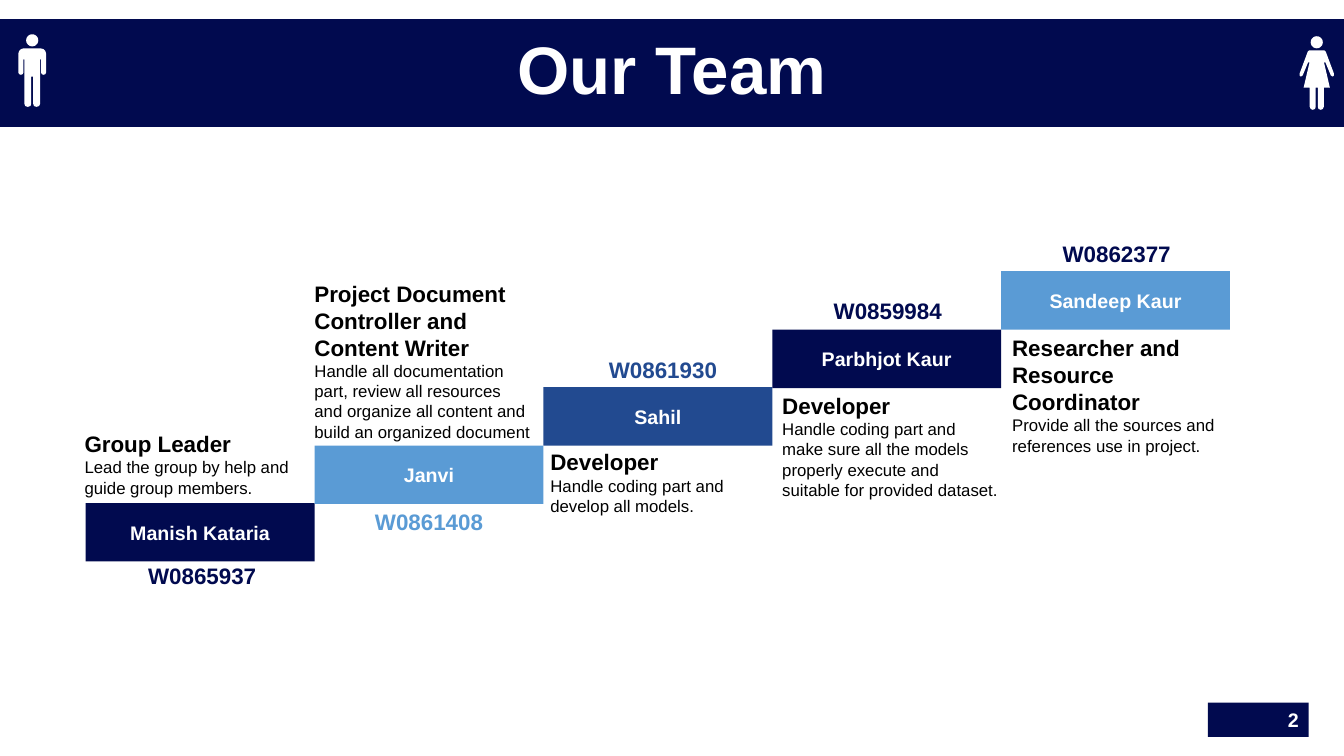
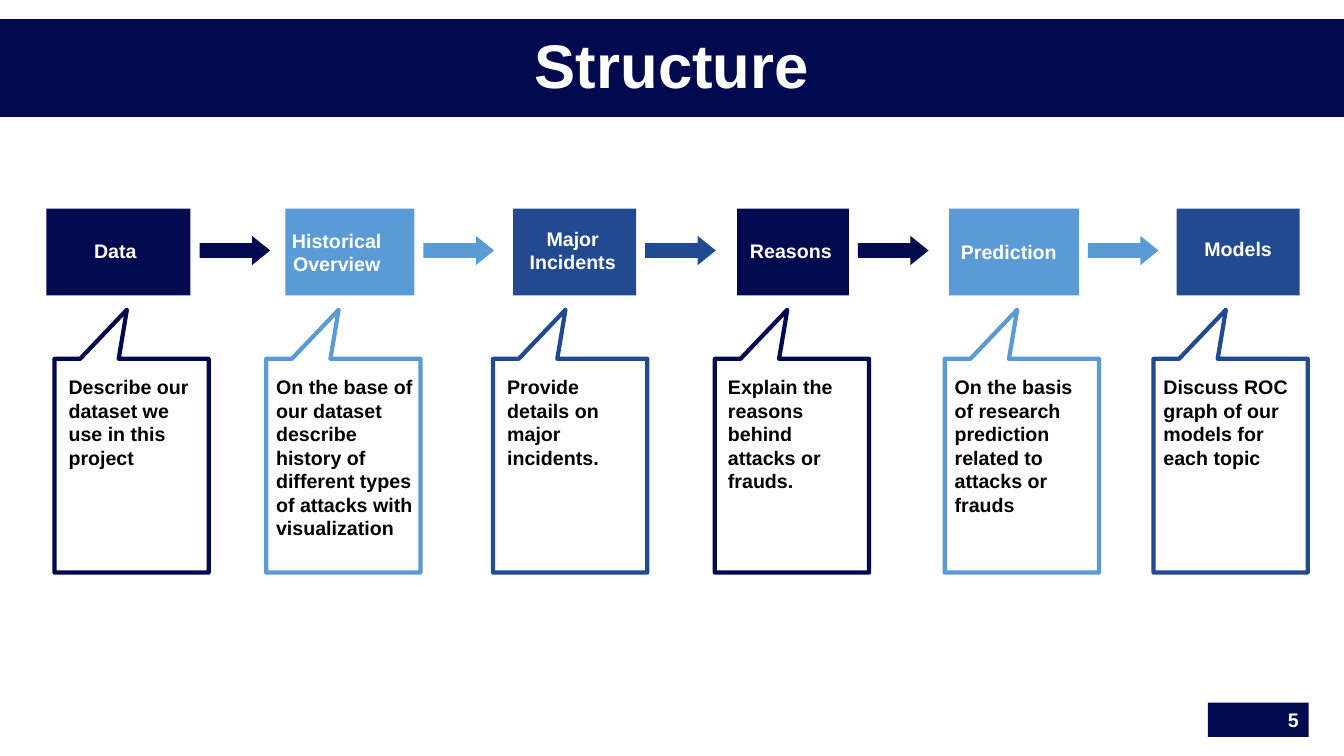
from math import cos, sin, tau
from pptx import Presentation, util as u
from pptx.dml.color import RGBColor
from pptx.enum import shapes, text

PX = 9144
NAVY, SKY, BLUE = "010A4F", "5A9BD5", "224A90"
WHITE, BLACK = "FFFFFF", "000000"
HUES = [NAVY, SKY, BLUE]
FONT = "Arial"
LEFT, MID, RIGHT = text.PP_ALIGN.LEFT, text.PP_ALIGN.CENTER, text.PP_ALIGN.RIGHT
FORM = shapes.MSO_SHAPE

BAR_W, BAR_H = 227, 58
TEAM = [
    ("Manish Kataria", "W0865937", NAVY, (51, 54), "Group Leader",
     "Lead the group by help and guide group members.", (-11, -77)),
    ("Janvi", "W0861408", SKY, (49, 57), "Project Document Controller and Content Writer",
     "Handle all documentation part, review all resources and organize all content "
     "and build an organized document", (-10, -169)),
    ("Sahil", "W0861930", BLUE, (54, -36), "Developer",
     "Handle coding part and develop all models.", (-3, 56)),
    ("Parbhjot Kaur", "W0859984", NAVY, (50, -37), "Developer",
     "Handle coding part and make sure all the models properly execute and suitable "
     "for provided dataset.", (0, 57)),
    ("Sandeep Kaur", "W0862377", NAVY, (50, -36), "Researcher and Resource Coordinator",
     "Provide all the sources and references use in project.", (1, 58)),
]
STEPS = [
    ("Data", 46, 143, (3, 3), "Describe our dataset we use in this project", 54, (14, 19)),
    ("Historical Overview", 283, 128, (13, 0),
     "On the base of our dataset describe history of different types of attacks "
     "with visualization", 264, (10, 3)),
    ("Major Incidents", 509, 122, (2, 4), "Provide details on major incidents.", 489, (14, 19)),
    ("Reasons", 731, 111, (2, 3), "Explain the reasons behind attacks or frauds.",
     709, (13, 19)),
    ("Prediction", 941, 129, (5, 0),
     "On the basis of research prediction related to attacks or frauds", 937, (10, 23)),
    ("Models", 1167, 122, (0, 7), "Discuss ROC graph of our models for each topic",
     1144, (10, 12)),
]
MAN = [(85, 140), (112, 147), (130, 165), (137, 190), (137, 380), (130, 396), (112, 402),
       (95, 396), (88, 380), (88, 250), (78, 250), (78, 690), (68, 712), (44, 720),
       (18, 712), (10, 690), (10, 420)]
WOMAN = [(60, 140), (78, 142), (90, 155), (170, 370), (170, 390), (158, 400), (140, 390),
         (86, 260), (72, 260), (130, 510), (70, 510), (70, 700), (60, 722), (40, 730),
         (18, 722), (10, 700), (10, 510)]


def tint(part, hue):
    if hasattr(part, "solid"):
        part.solid()
        part = part.fore_color
    elif hasattr(part, "color"):
        part = part.color
    part.rgb = RGBColor.from_string(hue)


def frame(shape, x, y, w, h):
    for name, size in {"left": x, "top": y, "width": w, "height": h}.items():
        setattr(shape, name, size * PX)


def write(shape, lines, hue, align=MID, pad=(10, 5, 10, 5), **form):
    area = shape.text_frame
    left, top, right, low = (n * PX for n in pad)
    looks = {"word_wrap": True, "auto_size": text.MSO_AUTO_SIZE.NONE,
             "vertical_anchor": text.MSO_ANCHOR.MIDDLE, "margin_left": left,
             "margin_top": top, "margin_right": right, "margin_bottom": low}
    for name, value in (looks | form).items():
        setattr(area, name, value)
    for i, (words, size, bold) in enumerate(lines):
        para = area.paragraphs[0] if i == 0 else area.add_paragraph()
        para.alignment = align
        run = para.add_run()
        run.text = words
        for name, value in {"name": FONT, "size": u.Pt(size), "bold": bold}.items():
            setattr(run.font, name, value)
        tint(run.font, hue)


def block(slide, x, y, w, h, hue, form=FORM.RECTANGLE, edge=None):
    shape = slide.shapes.add_shape(form, x * PX, y * PX, w * PX, h * PX)
    shape.shadow.inherit = False
    tint(shape.fill, hue)
    if edge:
        tint(shape.line, edge)
        shape.line.width = u.Pt(3)
    else:
        shape.line.fill.background()
    return shape


def label(slide, x, y, w, h, lines, hue, **form):
    box = slide.shapes.add_textbox(x * PX, y * PX, w * PX, h * PX)
    write(box, lines, hue, vertical_anchor=text.MSO_ANCHOR.TOP, **form)


def base(deck, title, size, high, page):
    slide = deck.slides.add_slide(deck.slide_layouts[5])
    band = slide.shapes.title
    frame(band, 0, 19, 1333, high)
    tint(band.fill, NAVY)
    write(band, [(title, size, True)], WHITE)
    para = band.text_frame.paragraphs[0]
    for name, value in {"line_spacing": 0.9, "space_before": u.Pt(10)}.items():
        setattr(para, name, value)
    tag = block(slide, 1198, 697, 100, 34, NAVY)
    write(tag, [(page, 14, True)], WHITE, RIGHT)
    return slide


def figure(slide, x, y, half):
    body = half + [(-a, b) for a, b in reversed(half)]
    head = [(60 * cos(tau * i / 24), 60 + 60 * sin(tau * i / 24)) for i in range(24)]
    pen = slide.shapes.build_freeform(*body[0], scale=PX / 10)
    pen.add_line_segments(body[1:])
    pen.move_to(*head[0])
    pen.add_line_segments(head[1:])
    shape = pen.convert_to_shape(x * PX, y * PX)
    shape.shadow.inherit = False
    tint(shape.fill, WHITE)
    shape.line.fill.background()


def member(slide, x, y, hue, data):
    name, code, ink, spot, role, task, place = data
    bar = block(slide, x, y, BAR_W, BAR_H, hue)
    write(bar, [(name, 14, True)], WHITE)
    label(slide, x + spot[0], y + spot[1], 129, 37, [(code, 16, True)], ink, word_wrap=False)
    label(slide, x + place[0], y + place[1], 235, 172,
          [(role, 16, True), (task, 12, False)], BLACK, align=LEFT)


def step(slide, y, hue, data):
    name, x, w, shift, note, left, pad = data
    box = block(slide, x, y, w, 86, hue)
    write(box, [(name, 14, True)], WHITE, pad=(0, 0, 2 * shift[0], shift[1]))
    call = block(slide, left, y + 149, 153, 212, WHITE, FORM.RECTANGULAR_CALLOUT, hue)
    call.adjustments[0] = -0.03
    call.adjustments[1] = -0.73
    write(call, [(note, 14, True)], BLACK, LEFT, (pad[0], 16, pad[1], 5),
          vertical_anchor=text.MSO_ANCHOR.TOP)


def team(deck):
    slide = base(deck, "Our Team", 48, 107, "2")
    for i, data in enumerate(TEAM):
        member(slide, 85 + BAR_W * i, 499 - 115 * i // 2, HUES[i % 3], data)
    figure(slide, 32, 34, MAN)
    figure(slide, 1306, 36, WOMAN)


def flow(deck):
    slide = base(deck, "Structure", 44, 97, "5")
    for i, data in enumerate(STEPS):
        hue = HUES[i % 3]
        step(slide, 207, hue, data)
        if i < len(STEPS) - 1:
            arrow = block(slide, data[1] + data[2] + 9, 234, 70, 29, hue, FORM.RIGHT_ARROW)
            arrow.adjustments[1] = 0.62


def main():
    deck = Presentation()
    deck.slide_width, deck.slide_height = u.Inches(13.33), u.Inches(7.5)
    team(deck)
    flow(deck)
    deck.save("out.pptx")


if __name__ == "__main__":
    main()
